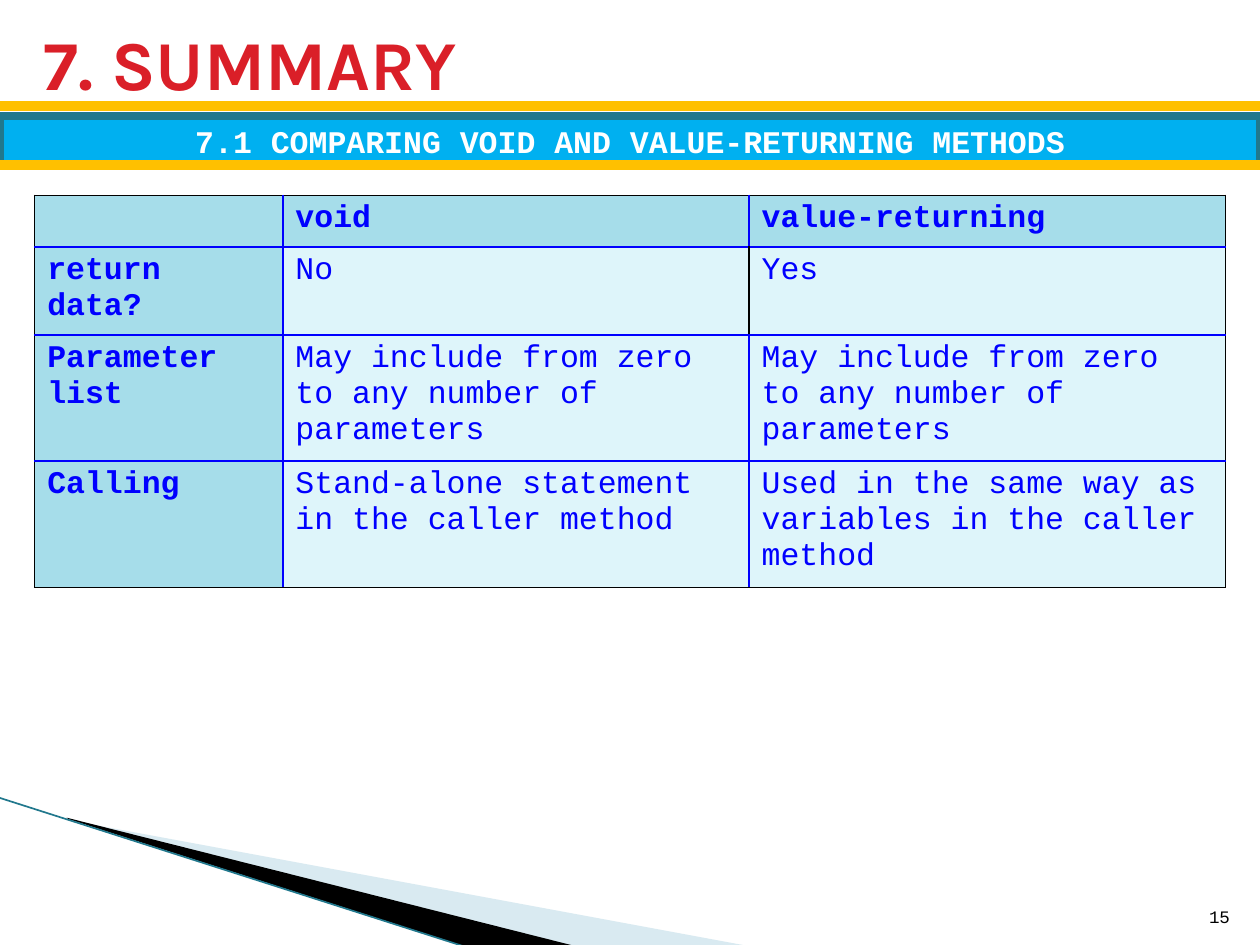
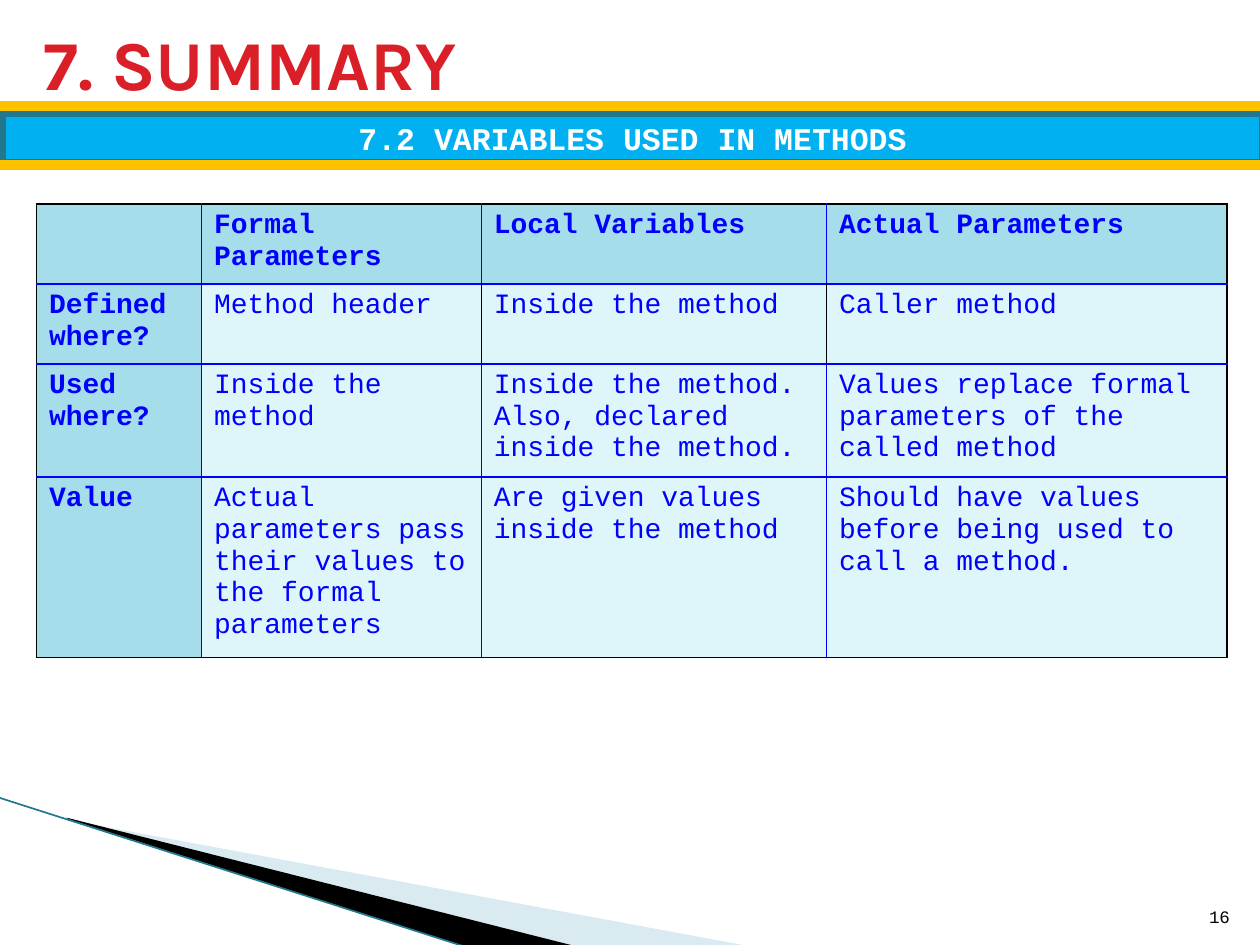
import pptx
import pptx.util
import pptx.dml.color
import pptx.enum.shapes
import pptx.enum.text
import pptx.oxml.ns
from dataclasses import dataclass
from lxml import etree

Shape = pptx.enum.shapes.MSO_SHAPE
Anchor = pptx.enum.text.MSO_ANCHOR
Align = pptx.enum.text.PP_ALIGN
qn = pptx.oxml.ns.qn

# The slide is a grid of 100 columns by 75 rows of equal squares
COLS, ROWS = 100, 75
UNIT = pptx.util.Inches(10) // COLS


@dataclass(frozen=True)
class Theme:
    red: str = "DA1F28"
    gold: str = "FFC000"
    sky: str = "00B0F0"
    teal: str = "21788D"
    mist: str = "A0CBDC"
    blue: str = "0000FF"
    head: str = "A6DDEA"
    body: str = "DEF5FA"
    black: str = "000000"
    white: str = "FFFFFF"
    mono: str = "Courier New"
    sans: str = "Karla"
    title: int = 40
    band: int = 18
    page: int = 10


T = Theme()


def rgb(code):
    return pptx.dml.color.RGBColor.from_string(code)


def grid(*sizes):
    return [round(size * UNIT) for size in sizes]


def write(frame, text, color, size, name=T.mono, bold=False, align=Align.LEFT):
    para = frame.paragraphs[0]
    para.alignment = align
    run = para.add_run()
    run.text = text
    look = {"name": name, "size": pptx.util.Pt(size), "bold": bold}
    for key, value in look.items():
        setattr(run.font, key, value)
    run.font.color.rgb = rgb(color)


def label(slide, box, anchor, *args, **look):
    frame = slide.shapes.add_textbox(*grid(*box)).text_frame
    frame.word_wrap = True
    frame.vertical_anchor = anchor
    write(frame, *args, **look)


def rule(slide, start, end, color, width):
    line = slide.shapes.add_connector(
        pptx.enum.shapes.MSO_CONNECTOR.STRAIGHT, *grid(*start, *end))
    line.line.color.rgb = rgb(color)
    line.line.width = pptx.util.Pt(width)
    etree.SubElement(line._element.spPr, qn("a:effectLst"))


def wedge(slide, box, points, color, alpha=100):
    left, top = box[:2]
    spots = [grid(left + x, top + y) for x, y in points]
    path = slide.shapes.build_freeform(*spots[0])
    path.add_line_segments(spots[1:], close=True)
    shape = path.convert_to_shape()
    shape.shadow.inherit = False
    shape.fill.solid()
    shape.fill.fore_color.rgb = rgb(color)
    shape.line.fill.background()
    if alpha < 100:
        tint = shape._element.spPr.find(".//" + qn("a:srgbClr"))
        etree.SubElement(tint, qn("a:alpha"), val=str(alpha * 1000))


def corner(slide, box):
    """Swoosh in the lower left corner."""
    left, top, wide, high = box
    wedge(slide, box, [(5.6, 1.8), (59.6, 11.8), (45.7, 11.8), (5.6, 1.7)],
          T.mist, 40)
    wedge(slide, box, [(5.4, 1.6), (45.8, 11.8), (37.3, 11.9), (5.5, 1.7)],
          T.black)
    rule(slide, (left, top), (left + 37.2, top + high), T.teal, 0.95)


def header(slide, box, topic, shift):
    """Title over a banner held between two gold rules."""
    left, top, wide, high = box
    bar = slide.shapes.add_shape(
        Shape.RECTANGLE,
        *grid(left + shift, top + 7.5 - shift, wide, 3.9))
    bar.shadow.inherit = False
    bar.fill.solid()
    bar.fill.fore_color.rgb = rgb(T.sky)
    bar.line.color.rgb = rgb(T.teal)
    bar.line.width = pptx.util.Pt(4.33)
    bar.text_frame.word_wrap = True
    bar.text_frame.vertical_anchor = Anchor.MIDDLE
    write(bar.text_frame, topic, T.white, T.band, bold=True,
          align=Align.CENTER)
    for y in (top + 6.7, top + high):
        rule(slide, (left, y), (left + wide, y), T.gold, 6)
    label(slide, (left + 2.5, top, 94.7, 6.5), Anchor.MIDDLE,
          "7. SUMMARY", T.red, T.title, name=T.sans, bold=True)


def edge(cell, sides):
    """Border colours in the order left, right, top, bottom."""
    props = cell._tc.get_or_add_tcPr()
    for side, color in zip("LRTB", sides):
        line = etree.SubElement(props, qn("a:ln" + side), w="12700")
        fill = etree.SubElement(line, qn("a:solidFill"))
        etree.SubElement(fill, qn("a:srgbClr"), val=color)


def chart(slide, spot, widths, size, rows):
    """Comparison table: tinted first row and column, black outer frame."""
    high = 4.1
    table = slide.shapes.add_table(
        len(rows), len(widths),
        *grid(*spot, sum(widths), high * len(rows))).table
    table.first_row = table.horz_banding = False
    for col, width in zip(table.columns, widths):
        col.width = grid(width)[0]
    last, end = len(rows) - 1, len(widths) - 1
    for r, row in enumerate(rows):
        table.rows[r].height = grid(high)[0]
        for c, text in enumerate(row):
            cell = table.cell(r, c)
            # The first body row also has black lines between its cells
            dark = (c == 0 or (r == 1 and c > 1),
                    c == end or (r == 1 and c > 0),
                    r == 0, r == last)
            edge(cell, [T.black if d else T.blue for d in dark])
            top = r == 0 or c == 0
            cell.fill.solid()
            cell.fill.fore_color.rgb = rgb(T.head if top else T.body)
            if text:
                write(cell.text_frame, text, T.blue, size, bold=top)


def page(deck, number, topic, shift, spot, widths, size, rows):
    slide = deck.slides.add_slide(deck.slide_layouts[6])
    corner(slide, (-0.1, 63.3, 59.6, 11.9))
    header(slide, (0, 1.7, COLS, 11.4), topic, shift)
    label(slide, (COLS - 5.4, ROWS - 4.9, 4, 4), Anchor.BOTTOM,
          str(number), T.black, T.page, align=Align.RIGHT)
    chart(slide, spot, widths, size, rows)


ANY = "May include from zero to any number of parameters"
KINDS = [
    ["", "void", "value-returning"],
    ["return data?", "No", "Yes"],
    ["Parameter list", ANY, ANY],
    ["Calling", "Stand-alone statement in the caller method",
     "Used in the same way as variables in the caller method"],
]
NAMES = [
    ["", "Formal Parameters", "Local Variables", "Actual Parameters"],
    ["Defined where?", "Method header", "Inside the method", "Caller method"],
    ["Used where?", "Inside the method",
     "Inside the method. Also, declared inside the method.",
     "Values replace formal parameters of the called method"],
    ["Value", "Actual parameters pass their values to the formal parameters",
     "Are given values inside the method",
     "Should have values before being used to call a method."],
]


def main():
    deck = pptx.Presentation()
    deck.slide_width, deck.slide_height = COLS * UNIT, ROWS * UNIT
    page(deck, 15, "7.1 COMPARING VOID AND VALUE-RETURNING METHODS", 0,
         (2.75, 15.5), (19.7, 37, 37.8), 18, KINDS)
    page(deck, 16, "7.2 VARIABLES USED IN METHODS", 0.2,
         (2.9, 16.2), (13.1, 22.2, 27.4, 31.8), 16, NAMES)
    deck.save("out.pptx")


if __name__ == "__main__":
    main()
